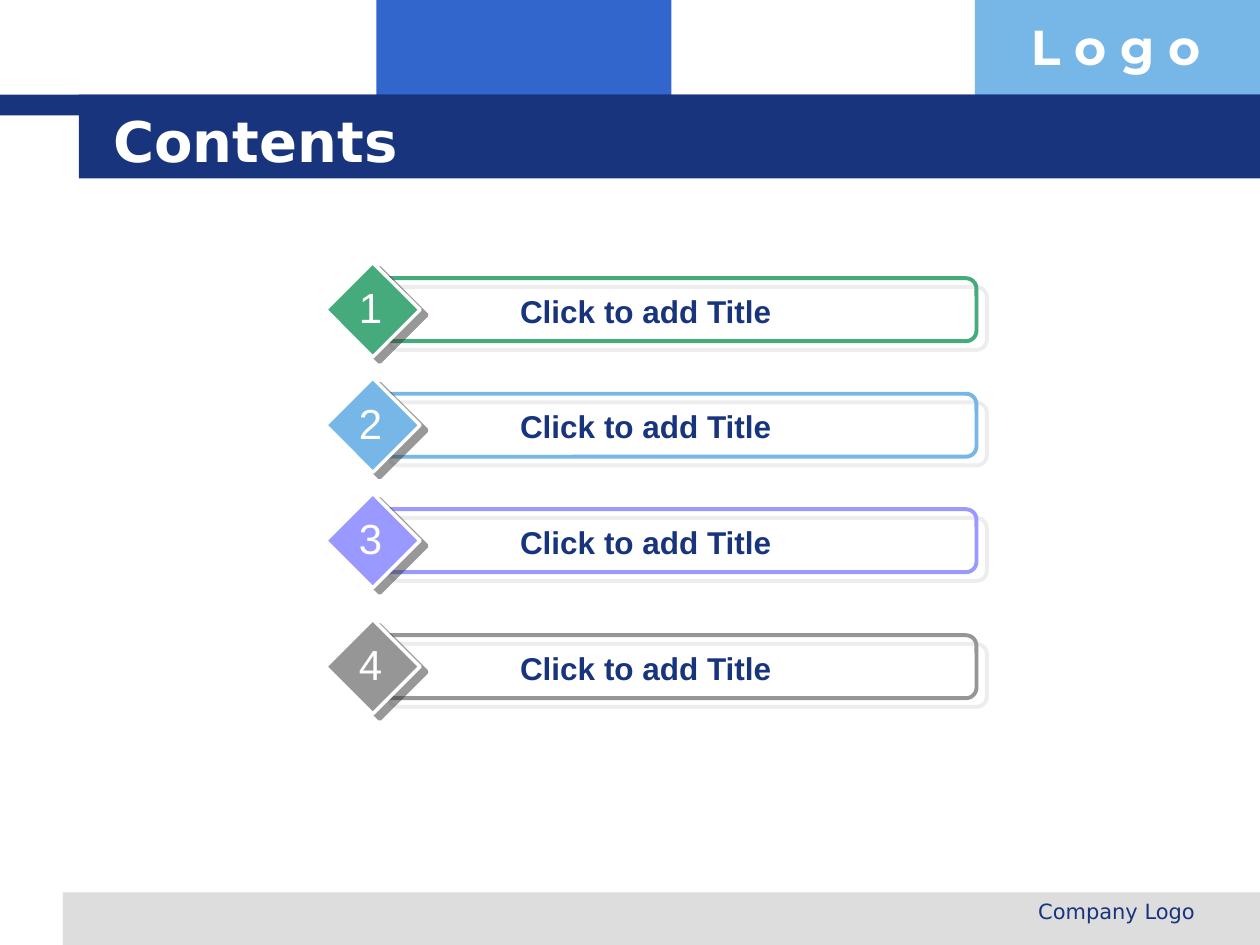
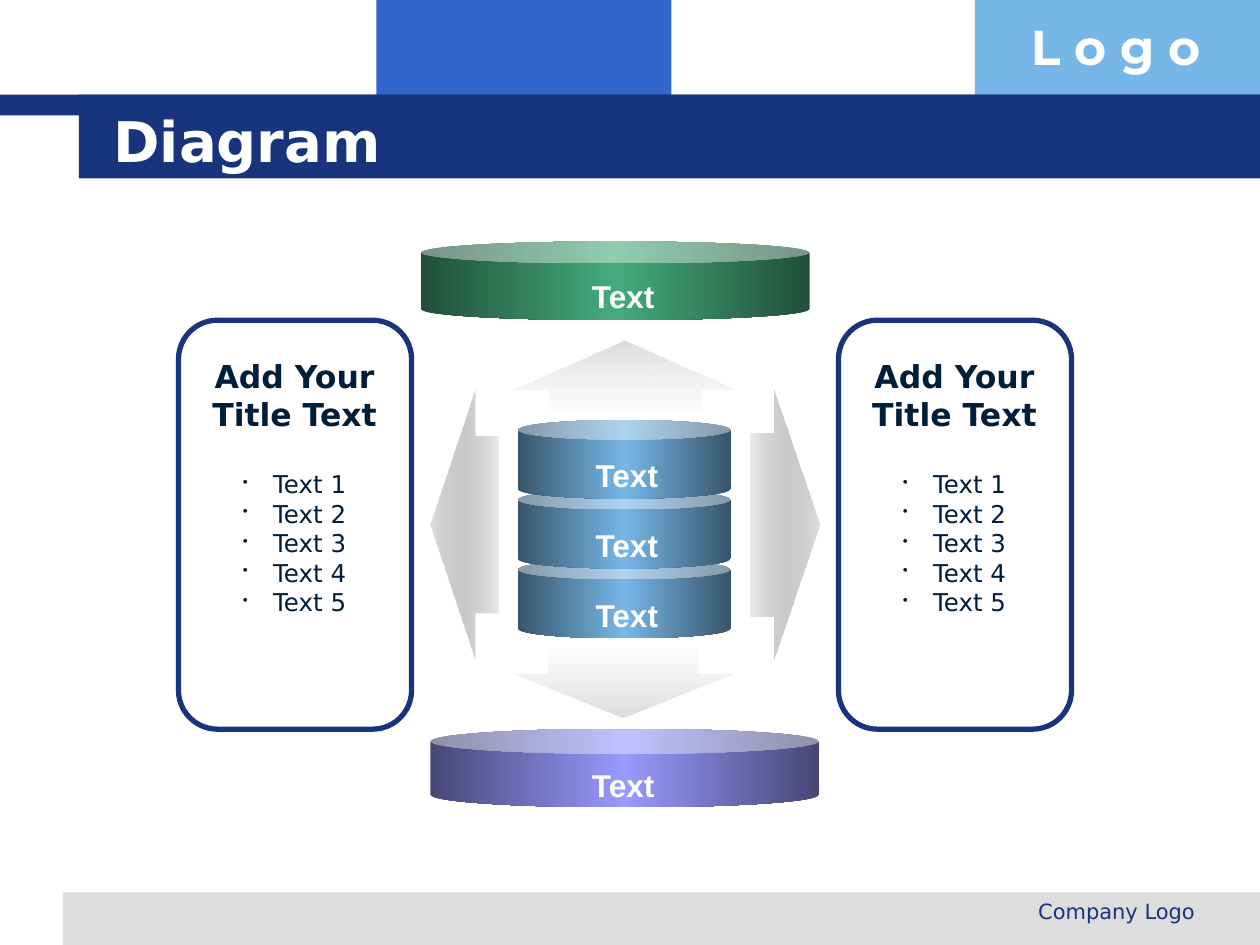
from lxml import etree
from pptx import Presentation
from pptx import util as u
from pptx.dml.color import RGBColor
from pptx.enum import shapes, text
from pptx.oxml import parse_xml
from pptx.oxml.ns import nsdecls, qn

NAVY, INK, SKY, GREEN, VIOLET = "17347D", "001D3A", "77B7E7", "45AB7D", "9999FF"
ROYAL, GRAY, SILVER, WHITE = "3366CC", "969696", "DDDDDD", "FFFFFF"
HEADING_FONT, LABEL_FONT = "DejaVu Sans", "Arial"
COLUMNS, ROWS = 120, 90
SHAPE = shapes.MSO_SHAPE
ALIGN = text.PP_ALIGN


def color(value):
    return RGBColor.from_string(value)


class Deck:
    def __init__(self):
        self.presentation = Presentation()
        self.presentation.slide_width = u.Inches(10)
        self.presentation.slide_height = u.Inches(7.5)
        self.column = self.presentation.slide_width / COLUMNS
        self.row = self.presentation.slide_height / ROWS
        self.layout = self.presentation.slide_layouts[5]
        self.slide = None

    def box(self, left, top, width, height):
        return (int(left * self.column), int(top * self.row),
                int(width * self.column), int(height * self.row))

    def new_slide(self, title):
        first = self.slide is None
        self.slide = self.presentation.slides.add_slide(self.layout)
        if first:
            self.build_layout()
        shape = self.slide.shapes.title
        shape.left, shape.top, shape.width, shape.height = self.box(9.6, 9.6, 102.4, 7.4)
        frame = shape.text_frame
        frame.text = title
        frame.auto_size = text.MSO_AUTO_SIZE.NONE
        frame.vertical_anchor = text.MSO_ANCHOR.MIDDLE
        self.style(frame.paragraphs[0], 32, WHITE, HEADING_FONT, True, ALIGN.LEFT)
        self.label("Company Logo", (77, 85, 38, 4.2), 12, NAVY, HEADING_FONT,
                   bold=False, align=ALIGN.RIGHT)

    def build_layout(self):
        bands = (
            ((35.85, 0, 28.1, 11), ROYAL),
            ((92.85, 0, 27.15, 11), SKY),
            ((6, 85, 114, 5), SILVER),
            ((0, 9, 120, 2), NAVY),
            ((7.5, 9, 112.5, 8), NAVY),
        )
        shared = [self.shape(SHAPE.RECTANGLE, area, fill) for area, fill in bands]
        shared.append(self.label("L o g o", (97, 1, 23, 6.8), 28, WHITE,
                                 "Montserrat", align=ALIGN.LEFT))
        for shape in shared:
            self.layout.shapes.element.append(shape.element)

    def style(self, paragraph, size, ink, font, bold, align):
        paragraph.alignment = align
        for run in paragraph.runs:
            run.font.size = u.Pt(size)
            run.font.name = font
            run.font.bold = bold
            run.font.color.rgb = color(ink)

    def shape(self, kind, area, fill=None, line=None, line_width=1, adjust=()):
        shape = self.slide.shapes.add_shape(kind, *self.box(*area))
        shape.shadow.inherit = False
        for index, value in enumerate(adjust):
            shape.adjustments[index] = value
        if fill:
            shape.fill.solid()
            shape.fill.fore_color.rgb = color(fill)
        else:
            shape.fill.background()
        if line:
            shape.line.color.rgb = color(line)
            shape.line.width = u.Pt(line_width)
        else:
            shape.line.fill.background()
        return shape

    def gradient(self, kind, area, adjust, stops, angle=0):
        shape = self.shape(kind, area, adjust=adjust)
        shape.fill.gradient()
        shape.fill.gradient_angle = (360 - angle) % 360
        stop_list = next(shape.element.iter(qn("a:gsLst")))
        for stop in list(stop_list):
            stop_list.remove(stop)
        for index, (value, opacity) in enumerate(stops):
            position = 100000 * index // (len(stops) - 1)
            stop = etree.SubElement(stop_list, qn("a:gs"), pos=str(position))
            tint = etree.SubElement(stop, qn("a:srgbClr"), val=value)
            if opacity < 100:
                etree.SubElement(tint, qn("a:alpha"), val=str(opacity * 1000))
        return shape

    def can(self, area, adjust, edge, middle):
        return self.gradient(SHAPE.CAN, area, (adjust,),
                             ((edge, 100), (middle, 100), (edge, 100)))

    def shadow(self, shape, value, distance, angle):
        effects = shape.element.spPr.find(qn("a:effectLst"))
        effects.append(parse_xml(
            f'<a:outerShdw {nsdecls("a")} blurRad="0" dist="{u.Pt(distance)}" '
            f'dir="{angle * 60000}" algn="ctr" rotWithShape="0">'
            f'<a:srgbClr val="{value}"><a:alpha val="50000"/></a:srgbClr></a:outerShdw>'))

    def label(self, words, area, size, ink, font=LABEL_FONT, bold=True,
              align=ALIGN.CENTER, wrap=True):
        shape = self.slide.shapes.add_textbox(*self.box(*area))
        frame = shape.text_frame
        frame.word_wrap = wrap
        frame.text = words
        for paragraph in frame.paragraphs:
            self.style(paragraph, size, ink, font, bold, align)
        return shape

    def bullet(self, paragraph):
        properties = paragraph._p.get_or_add_pPr()
        properties.set("marL", str(u.Inches(0.24)))
        properties.set("indent", str(-u.Inches(0.24)))
        bullet_color = etree.SubElement(properties, qn("a:buClr"))
        etree.SubElement(bullet_color, qn("a:srgbClr"), val=INK)
        etree.SubElement(properties, qn("a:buSzPct"), val="60000")
        etree.SubElement(properties, qn("a:buChar"), char="•")

    def contents_item(self, number, top, accent):
        bar = self.shape(SHAPE.ROUNDED_RECTANGLE, (36, top + 1.5, 57, 6),
                         line=accent, line_width=2.25, adjust=(0.167,))
        self.shadow(bar, SILVER, 7.8, 40)
        diamond = self.shape(SHAPE.DIAMOND, (31, top, 9, 9), accent, WHITE, 2)
        self.shadow(diamond, "333333", 5, 37)
        self.label("Click to add Title", (39, top + 2.2, 45, 4.8), 18, NAVY)
        self.label(str(number), (33, top + 1.25, 4.5, 6), 24, WHITE,
                   bold=False, wrap=False)

    def panel(self, left):
        self.shape(SHAPE.ROUNDED_RECTANGLE, (left, 30.5, 22.2, 38.95),
                   line=NAVY, line_width=3, adjust=(0.167,))
        shape = self.label("Add Your\nTitle Text", (left + 0.9, 33.4, 20.3, 26),
                           18, INK, HEADING_FONT)
        for number in range(1, 6):
            paragraph = shape.text_frame.add_paragraph()
            paragraph.text = f"Text {number}"
            self.bullet(paragraph)
            self.style(paragraph, 14, INK, HEADING_FONT, False, ALIGN.CENTER)
            if number == 1:
                paragraph.space_before = u.Pt(21)

    def can_label(self, left, top):
        self.label("Text", (left, top, 8.5, 4.8), 18, WHITE, wrap=False)


def build_contents(deck):
    deck.new_slide("Contents")
    items = zip((25, 36, 47, 59), (GREEN, SKY, VIOLET, GRAY))
    for number, (top, accent) in enumerate(items, 1):
        deck.contents_item(number, top, accent)


def build_diagram(deck):
    deck.new_slide("Diagram")
    stack_tops = [40 + 6.65 * level for level in range(3)]
    for top in reversed(stack_tops):
        deck.can((49.3, top, 20.3, 7.5), 0.25, "37556B", SKY)
    for top in stack_tops:
        deck.can_label(55.45, top + 2.85)

    solid, dark_fade, light_fade = (SILVER, 100), ("666666", 12), ("E9E9E9", 12)
    arrows = (
        (SHAPE.LEFT_ARROW, (41, 37.1, 6.5, 25.7), (0.656, 0.652), (solid, dark_fade), 0),
        (SHAPE.RIGHT_ARROW, (71.5, 37.1, 6.5, 25.7), (0.677, 0.662), (dark_fade, solid), 0),
        (SHAPE.UP_ARROW, (48.95, 32.4, 21.2, 6.6), (0.684, 0.708), (solid, light_fade), 90),
        (SHAPE.DOWN_ARROW, (48.75, 61.75, 21.2, 6.6), (0.671, 0.641), (light_fade, solid), 90),
    )
    for arrow in arrows:
        deck.gradient(*arrow)
    for left in (17, 79.85):
        deck.panel(left)

    deck.can((40.1, 23, 37, 7.5), 0.28, "204F3A", GREEN)
    deck.can_label(55.1, 25.8)
    deck.can((41, 69.4, 37, 7.5), 0.32, "474776", VIOLET)
    deck.can_label(55.1, 72.4)


def main():
    deck = Deck()
    build_contents(deck)
    build_diagram(deck)
    deck.presentation.save("out.pptx")


if __name__ == "__main__":
    main()
